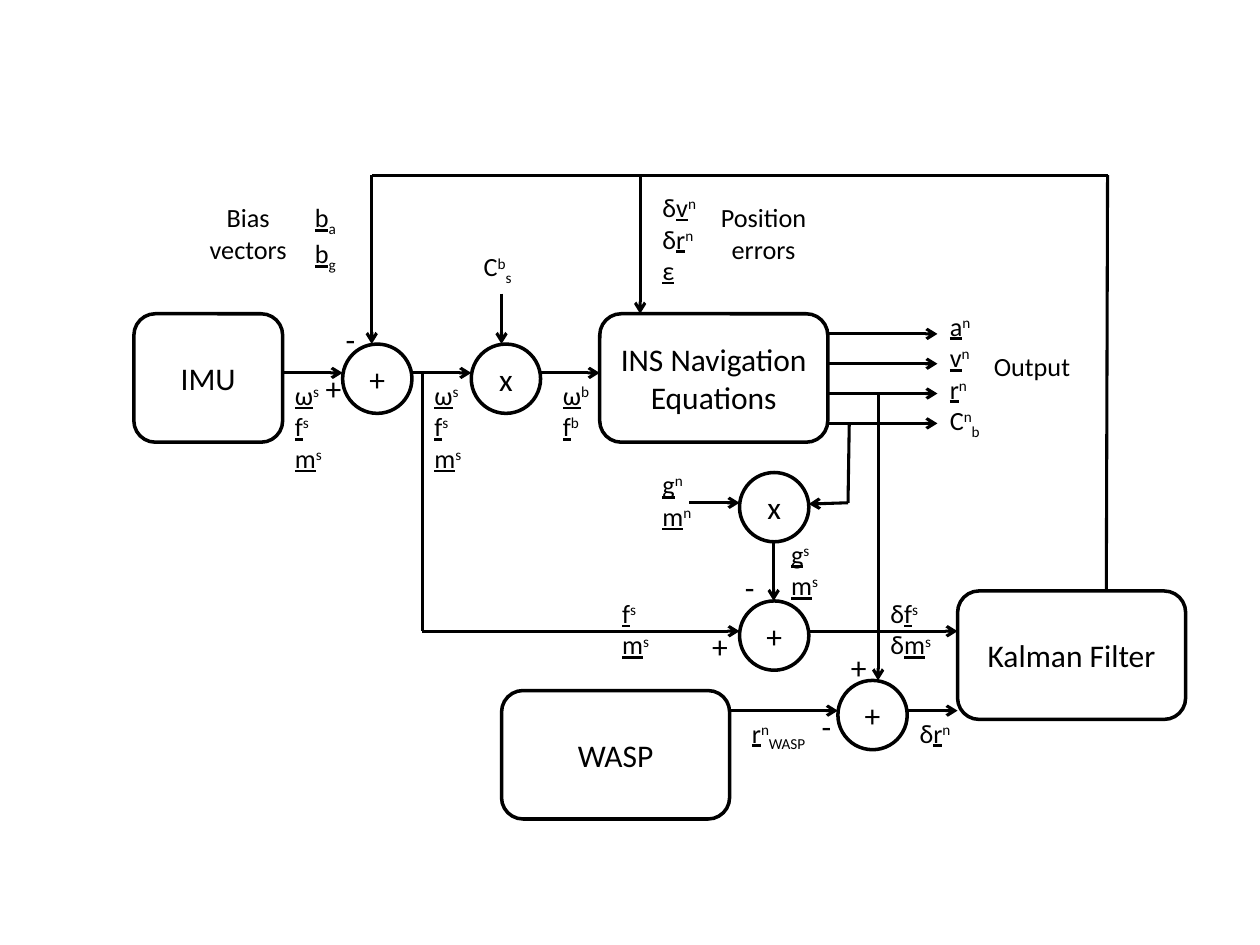
from dataclasses import dataclass

from lxml import etree
from pptx import Presentation
from pptx.dml.color import RGBColor
from pptx.enum.shapes import MSO_CONNECTOR, MSO_SHAPE
from pptx.enum.text import MSO_ANCHOR, MSO_AUTO_SIZE, PP_ALIGN
from pptx.oxml.ns import qn
from pptx.util import Pt

LEFT, CENTER = PP_ALIGN.LEFT, PP_ALIGN.CENTER
MIDDLE = MSO_ANCHOR.MIDDLE
GROW = MSO_AUTO_SIZE.SHAPE_TO_FIT_TEXT
ROUND, OVAL = MSO_SHAPE.ROUNDED_RECTANGLE, MSO_SHAPE.OVAL
STRAIGHT = MSO_CONNECTOR.STRAIGHT


@dataclass(frozen=True)
class Theme:
    ink: RGBColor = RGBColor(0, 0, 0)
    paper: RGBColor = RGBColor(255, 255, 255)
    font: str = "Calibri"
    large: float = 18
    small: float = 15
    edge: float = 2
    wire: float = 1.75


@dataclass(frozen=True)
class Node:
    text: str
    x: float
    y: float
    w: float
    h: float
    kind: int = ROUND


@dataclass(frozen=True)
class Wire:
    x1: float
    y1: float
    x2: float
    y2: float
    arrow: bool = True


@dataclass(frozen=True)
class Label:
    text: str
    x: float
    y: float
    w: float
    h: float
    align: int = LEFT


THEME = Theme()
TALL, WIDE, DISC = 73.4, 130.3, 39.6
FLOW, LOOP, RESID, FIX = 213.1, 100.1, 360.7, 406.1
OUTS = [190.8 + 17.05 * i for i in range(4)]
LINE1, LINE2, LINE3, LINE4 = 25.2, 43.9, 61.9, 79.9

BLOCKS = [
    Node("IMU", 76.5, 179.3, 85, TALL),
    Node("WASP", 286.6, 394.6, WIDE, TALL),
    Node("INS Navigation Equations", 342.7, 179.3, WIDE, TALL),
    Node("Kalman Filter", 547.2, 337.7, WIDE, TALL),
]
DISCS = [
    Node(sign, x, y, DISC, DISC, OVAL)
    for sign, x, y in [
        ("+", 195.8, 196.6),
        ("x", 269.3, 196.6),
        ("+", 478.8, 388.8),
        ("x", 422.6, 270),
        ("+", 422.6, 343.4),
    ]
]
WIRES = [
    # Inertial data into the navigation equations
    Wire(161.5, FLOW, 195.8, FLOW),
    Wire(235.4, FLOW, 269.3, FLOW),
    Wire(308.9, FLOW, 342.7, FLOW),
    Wire(286.6, 167.8, 286.6, 196.6),
    # Navigation outputs
    *[Wire(473, y, 535.7, y) for y in OUTS],
    # Feedback from the filter
    Wire(632.9, LOOP, 632.2, 337.7, False),
    Wire(632.9, LOOP, 212.4, LOOP, False),
    Wire(212.4, LOOP, 212.4, 196.6),
    Wire(365.8, LOOP, 365.8, 179.3),
    # Sensor residuals
    Wire(241.2, FLOW, 241.2, RESID, False),
    Wire(241.2, RESID, 422.6, RESID),
    Wire(462.2, RESID, 547.2, RESID),
    Wire(393.8, 287.3, 422.6, 287.3),
    Wire(485.3, OUTS[3], 484.6, 287.3, False),
    Wire(484.6, 287.3, 462.2, 288),
    Wire(442.1, 309.6, 442.1, 343.4),
    # Position residuals
    Wire(501.8, OUTS[2], 501.8, 388.8),
    Wire(416.9, FIX, 478.8, FIX),
    Wire(518.4, FIX, 547.2, FIX),
]
SENSED = "_ω.^s\n_f.^s\n_m.^s"
LABELS = [
    Label("_b.~a\n_b.~g", 172.8, 111.6, 62.6, LINE2),
    Label("C.^b.~s", 269.3, 139.7, 62.6, LINE1),
    Label("δ._v.^n\nδ._r.^n\n_ε", 371.5, 105.8, 62.6, LINE3),
    Label("_a.^n\n_v.^n\n_r.^n\nC.^n.~b", 535.7, 173.5, 67.7, LINE4),
    Label(SENSED, 161.5, FLOW, 45.4, LINE3),
    Label(SENSED, 241.2, FLOW, 45.4, LINE3),
    Label("_ω.^b\n_f.^b", 314.6, FLOW, 45.4, LINE2),
    Label("_g.^n\n_m.^n", 371.5, 264.2, 33.8, LINE2),
    Label("_g.^s\n_m.^s", 445, 303.8, 33.8, LINE2),
    Label("_f.^s\n_m.^s", 348.5, 337.7, 45.4, LINE2),
    Label("δ._f.^s\nδ._m.^s", 501.8, 337.7, 67.7, LINE2),
    Label("_r.^n.~WASP", 422.6, FIX, 67.7, LINE1),
    Label("δ._r.^n", 518.4, FIX, 67.7, LINE1),
    Label("Position errors", 399.6, 111.6, 73.4, LINE2, CENTER),
    Label("Bias vectors", 105.1, 111.6, 73.4, LINE2, CENTER),
    Label("Output", 553, 196.6, 73.4, LINE1, CENTER),
]
SIGNS = [
    Label(sign, x, y, 23.8 if sign == "+" else 20.2, 28.8, CENTER)
    for sign, x, y in [
        ("+", 478.8, 366.5),
        ("-", 462.2, 400.3),
        ("+", 178.6, 207.4),
        ("-", 190.1, 179.3),
        ("-", 418.3, 321.1),
        ("+", 399.6, 355),
    ]
]


def write(frame, text: str, *, size: float, align: int = LEFT) -> None:
    """Split runs at dots; _ underlines, ^ raises and ~ lowers a run."""
    for i, row in enumerate(text.split("\n")):
        para = frame.add_paragraph() if i else frame.paragraphs[0]
        para.alignment = align
        for part in row.split("."):
            run = para.add_run()
            run.text = part.lstrip("_^~")
            font = run.font
            font.name, font.size = THEME.font, Pt(size)
            font.color.rgb = THEME.ink
            if part[0] == "_":
                font.underline = True
            elif part[0] in "^~":
                shift = "30000" if part[0] == "^" else "-25000"
                run._r.get_or_add_rPr().set("baseline", shift)


def draw_node(shapes, node: Node) -> None:
    shape = shapes.add_shape(node.kind, Pt(node.x), Pt(node.y), Pt(node.w), Pt(node.h))
    shape.shadow.inherit = False
    shape.fill.solid()
    shape.fill.fore_color.rgb = THEME.paper
    shape.line.color.rgb = THEME.ink
    shape.line.width = Pt(THEME.edge)
    frame = shape.text_frame
    frame.word_wrap = True
    frame.vertical_anchor = MIDDLE
    write(frame, node.text, size=THEME.large, align=CENTER)


def draw_wire(shapes, wire: Wire) -> None:
    line = shapes.add_connector(
        STRAIGHT, Pt(wire.x1), Pt(wire.y1), Pt(wire.x2), Pt(wire.y2)
    )
    line.line.color.rgb = THEME.ink
    line.line.width = Pt(THEME.wire)
    props = line._element.spPr
    if wire.arrow:
        etree.SubElement(props.find(qn("a:ln")), qn("a:tailEnd"), type="arrow")
    etree.SubElement(props, qn("a:effectLst"))


def draw_label(shapes, label: Label, size: float, wrap: bool) -> None:
    box = shapes.add_textbox(Pt(label.x), Pt(label.y), Pt(label.w), Pt(label.h))
    frame = box.text_frame
    frame.word_wrap = wrap
    frame.auto_size = GROW
    write(frame, label.text, size=size, align=label.align)


def main() -> None:
    deck = Presentation()
    deck.slide_width, deck.slide_height = Pt(720), Pt(540)
    shapes = deck.slides.add_slide(deck.slide_layouts[6]).shapes
    for node in BLOCKS + DISCS:
        draw_node(shapes, node)
    for wire in WIRES:
        draw_wire(shapes, wire)
    for label in LABELS:
        draw_label(shapes, label, THEME.small, True)
    for sign in SIGNS:
        draw_label(shapes, sign, THEME.large, False)
    deck.save("out.pptx")


if __name__ == "__main__":
    main()
